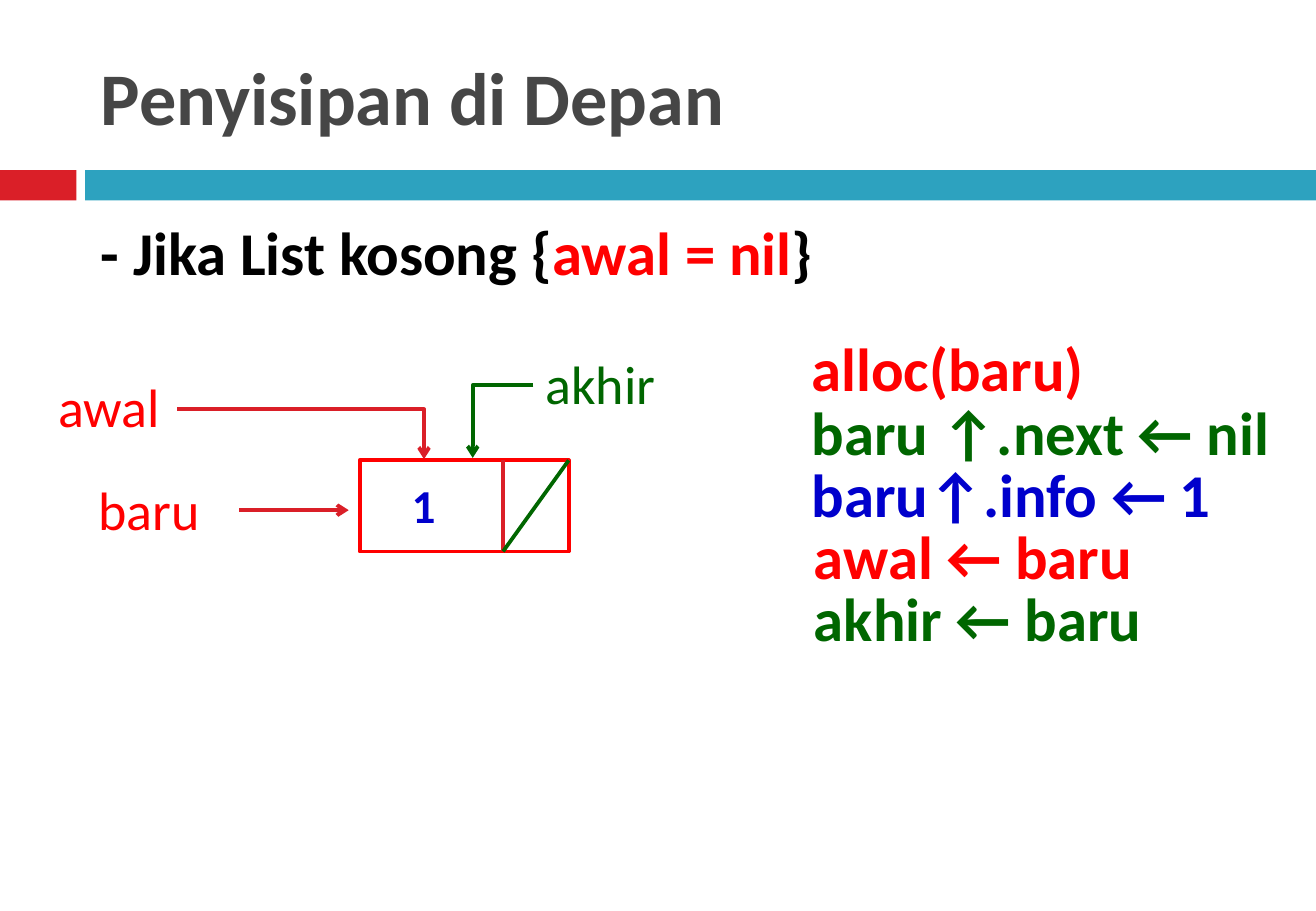
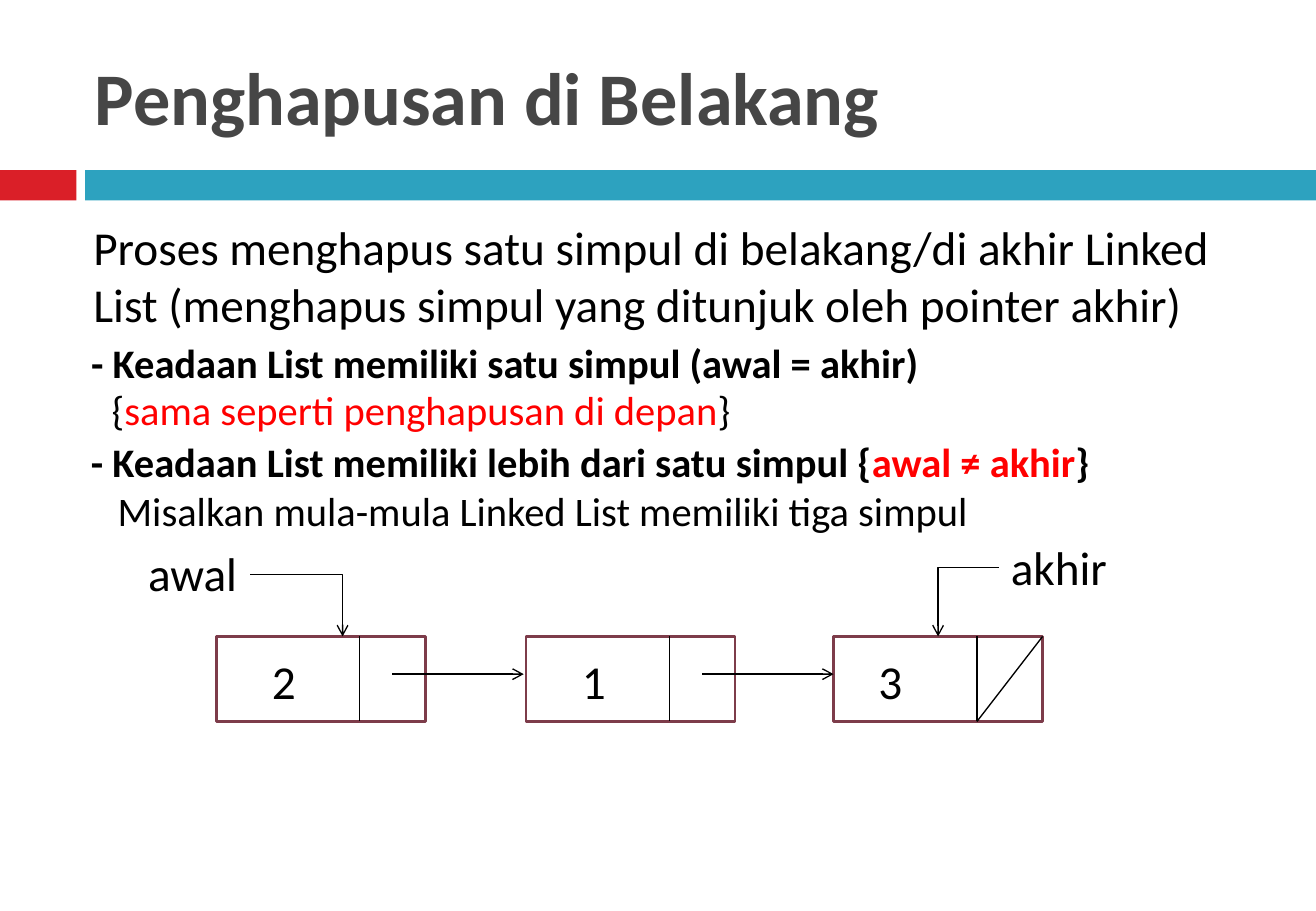
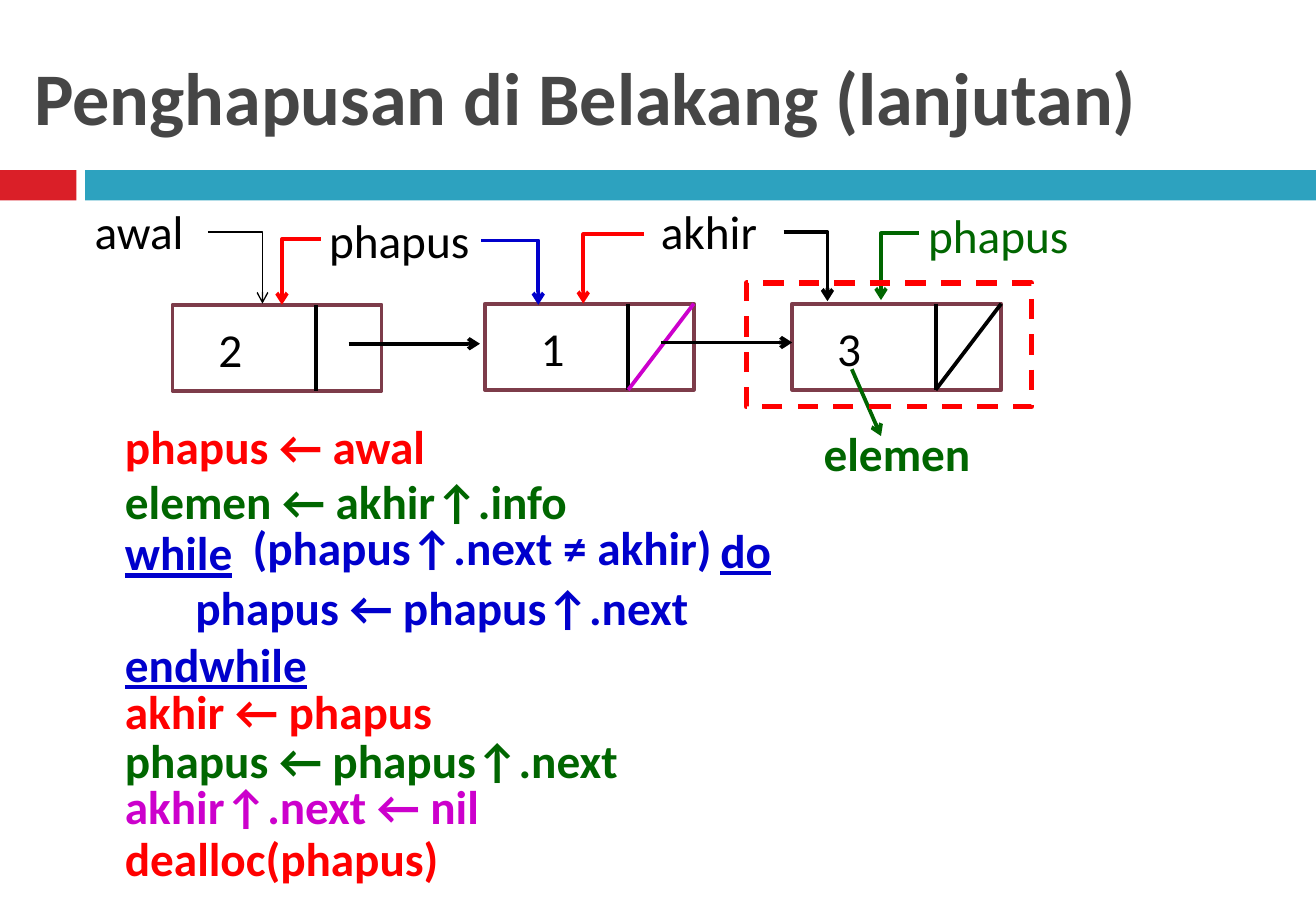
from dataclasses import dataclass
from typing import Optional

from lxml.etree import SubElement
from pptx import Presentation
from pptx.dml.color import RGBColor
from pptx.enum.dml import MSO_LINE
from pptx.enum.shapes import MSO_CONNECTOR, MSO_SHAPE
from pptx.enum.text import MSO_ANCHOR, MSO_AUTO_SIZE, PP_ALIGN
from pptx.oxml.ns import qn
from pptx.presentation import Presentation as Deck
from pptx.slide import Slide
from pptx.text.text import TextFrame
from pptx.util import Inches, Pt

Point = tuple[float, float]
Box = tuple[float, float, float, float]


@dataclass(frozen=True)
class Theme:
    font: str = "Calibri"
    title: RGBColor = RGBColor(0x46, 0x46, 0x46)
    accent: RGBColor = RGBColor(0xDA, 0x1F, 0x28)
    band: RGBColor = RGBColor(0x2D, 0xA2, 0xBF)
    border: RGBColor = RGBColor(0x7D, 0x3C, 0x4A)
    white: RGBColor = RGBColor(0xFF, 0xFF, 0xFF)
    black: RGBColor = RGBColor(0, 0, 0)
    red: RGBColor = RGBColor(0xFF, 0, 0)
    green: RGBColor = RGBColor(0, 0x66, 0)
    blue: RGBColor = RGBColor(0, 0, 0xCC)
    magenta: RGBColor = RGBColor(0xCC, 0, 0xCC)
    title_size: float = 44
    code_size: float = 36
    pointer_size: float = 32
    text_size: float = 28
    note_size: float = 24
    thin: float = 0.79
    medium: float = 1.5
    thick: float = 2.25
    heavy: float = 3


T = Theme()
NODE_W, DIVIDER_X = 1.72, 1.18


@dataclass(frozen=True)
class Label:
    at: Box
    text: str
    color: RGBColor = T.black
    size: float = T.text_size
    bold: bool = False
    underline: bool = False
    marked: str = ""
    after: str = ""


@dataclass(frozen=True)
class Link:
    start: Point
    end: Point
    color: RGBColor = T.black
    width: float = T.thick
    bent: bool = False
    arrow: bool = True


@dataclass(frozen=True)
class Node:
    left: float
    top: float
    height: float
    value: str
    value_dx: float
    border: RGBColor = T.border
    border_width: float = T.thick
    divider: RGBColor = T.black
    line_width: float = T.thick
    slash: Optional[RGBColor] = None
    value_color: RGBColor = T.black
    bold: bool = False


@dataclass(frozen=True)
class Page:
    title: str
    title_left: float
    nodes: list[Node]
    links: list[Link]
    labels: list[Label]
    body: Optional[Label] = None


def place(sp, at: Box) -> None:
    sp.left, sp.top, sp.width, sp.height = map(Inches, at)


def write(tf: TextFrame, label: Label) -> None:
    tf.word_wrap = True
    p = tf.paragraphs[0]
    p.alignment = PP_ALIGN.LEFT
    p.font.name = T.font
    p.font.size = Pt(label.size)
    p.font.bold = label.bold
    p.font.underline = label.underline
    p.font.color.rgb = label.color
    for text, color in ((label.text, None), (label.marked, T.red), (label.after, None)):
        if text:
            r = p.add_run()
            r.text = text
            if color is not None:
                r.font.color.rgb = color


def add_label(s: Slide, label: Label) -> None:
    tf = s.shapes.add_textbox(*map(Inches, label.at)).text_frame
    write(tf, label)
    tf.auto_size = MSO_AUTO_SIZE.SHAPE_TO_FIT_TEXT


def add_rect(s: Slide, at: Box, fill: Optional[RGBColor],
             line: Optional[RGBColor] = None, width: float = T.thick):
    sp = s.shapes.add_shape(MSO_SHAPE.RECTANGLE, *map(Inches, at))
    sp.shadow.inherit = False
    if fill is None:
        sp.fill.background()
    else:
        sp.fill.solid()
        sp.fill.fore_color.rgb = fill
    if line is None:
        sp.line.fill.background()
    else:
        sp.line.color.rgb = line
        sp.line.width = Pt(width)
    return sp


def add_link(s: Slide, link: Link) -> None:
    kind = MSO_CONNECTOR.ELBOW if link.bent else MSO_CONNECTOR.STRAIGHT
    c = s.shapes.add_connector(kind, *map(Inches, link.start + link.end))
    c.line.color.rgb = link.color
    c.line.width = Pt(link.width)
    sp_pr = c.element.spPr
    if link.arrow:
        SubElement(sp_pr.find(qn("a:ln")), qn("a:tailEnd"), type="arrow")
    SubElement(sp_pr, qn("a:effectLst"))
    if link.bent:
        sp_pr.find(qn("a:prstGeom")).set("prst", "bentConnector2")
        if link.end[0] < link.start[0]:
            xfrm = sp_pr.find(qn("a:xfrm"))
            xfrm.attrib.pop("flipH")
            xfrm.set("rot", "10800000")
            xfrm.set("flipV", "1")


def add_node(s: Slide, n: Node) -> None:
    x, right, bottom = n.left + DIVIDER_X, n.left + NODE_W, n.top + n.height
    add_rect(s, (n.left, n.top, NODE_W, n.height), T.white, n.border, n.border_width)
    add_link(s, Link((x, n.top), (x, bottom), n.divider, n.line_width, arrow=False))
    if n.slash is not None:
        add_link(s, Link((right, n.top), (x, bottom), n.slash, n.line_width, arrow=False))
    add_label(s, Label((n.left + n.value_dx, n.top + 0.08, 0.63, 0.57), n.value,
                       n.value_color, bold=n.bold))


def add_bands(prs: Deck, s: Slide) -> None:
    tree = prs.slide_master.element.cSld.spTree
    for i, (at, color) in enumerate((((0, 1.4, 0.63, 0.25), T.accent),
                                     ((0.7, 1.4, 10.13, 0.25), T.band))):
        sp = add_rect(s, at, color)
        sp.element.nvSpPr.cNvPr.set("id", str(101 + i))
        tree.append(sp.element)


def add_page(prs: Deck, page: Page) -> Slide:
    s = prs.slides.add_slide(prs.slide_layouts[1 if page.body else 5])
    title = s.shapes.title
    at = (page.title_left, 0.25, 9.66, 1.08)
    place(title, at)
    write(title.text_frame, Label(at, page.title, T.title, T.title_size, bold=True))
    title.text_frame.vertical_anchor = MSO_ANCHOR.MIDDLE
    title.text_frame.auto_size = MSO_AUTO_SIZE.NONE
    if page.body:
        body = s.placeholders[1]
        place(body, page.body.at)
        write(body.text_frame, page.body)
        body.text_frame.auto_size = MSO_AUTO_SIZE.NONE
        p = body.text_frame.paragraphs[0]
        p.space_before = Pt(7)
        p_pr = p._p.get_or_add_pPr()
        p_pr.set("marL", str(Inches(0.56)))
        p_pr.set("indent", str(-Inches(0.56)))
        p_pr.find(qn("a:defRPr")).addprevious(SubElement(p_pr, qn("a:buNone")))
    for node in page.nodes:
        add_node(s, node)
    for link in page.links:
        add_link(s, link)
    for label in page.labels:
        add_label(s, label)
    return s


def code(left: float, top: float, width: float, text: str, color: RGBColor,
         size: float = T.text_size, underline: bool = False) -> Label:
    return Label((left, top, width, 0.75 if size == T.code_size else 0.57),
                 text, color, size, True, underline)


def pointer(left: float, top: float, text: str, color: RGBColor = T.black,
            size: float = T.text_size, width: float = 1.26) -> Label:
    return Label((left, top, width, 0.57), text, color, size)


insert_front = Page(
    "Penyisipan di Depan", 0.73,
    nodes=[Node(2.96, 3.79, 0.75, "1", 0.33, T.red, divider=T.accent,
                slash=T.green, value_color=T.blue, bold=True)],
    links=[
        Link((1.97, 4.2), (2.87, 4.2), T.accent),
        Link((1.46, 3.37), (3.49, 3.78), T.accent, bent=True),
        Link((4.39, 3.17), (3.89, 3.77), T.green, bent=True),
    ],
    labels=[
        pointer(0.71, 3.87, "baru", T.red, T.pointer_size),
        pointer(0.38, 3.03, "awal", T.red, T.pointer_size),
        pointer(4.39, 2.84, "akhir", T.green, T.pointer_size),
        code(6.58, 2.67, 4.58, "alloc(baru)", T.red, T.code_size),
        code(6.58, 3.2, 4.58, "baru ↑.next ← nil", T.green, T.code_size),
        code(6.58, 3.71, 4.58, "baru↑.info ← 1", T.blue, T.code_size),
        code(6.6, 4.22, 3.42, "awal ← baru", T.red, T.code_size),
        code(6.6, 4.73, 3.42, "akhir ← baru", T.green, T.code_size),
    ],
    body=Label((0.73, 1.72, 9.66, 0.83), "- Jika List kosong {", size=T.code_size,
               bold=True, marked="awal = nil", after="}"),
)

delete_back = Page(
    "Penghapusan di Belakang", 0.68,
    nodes=[Node(left, 5.24, 0.7, value, dx, border_width=T.medium,
                line_width=T.thin, slash=slash)
           for left, value, dx, slash in ((1.78, "2", 0.36, None),
                                          (4.33, "1", 0.36, None),
                                          (6.86, "3", 0.27, T.black))],
    links=[
        Link((3.23, 5.55), (4.31, 5.55), width=T.thin),
        Link((5.78, 5.55), (6.86, 5.55), width=T.thin),
        Link((8.22, 4.67), (7.72, 5.24), width=T.thin, bent=True),
        Link((2.06, 4.73), (2.82, 5.24), width=T.thin, bent=True),
    ],
    labels=[
        pointer(1.12, 4.43, "awal"),
        pointer(8.22, 4.38, "akhir"),
        Label((0.67, 1.75, 9.72, 1.3),
              "Proses menghapus satu simpul di belakang/di akhir Linked List "
              "(menghapus simpul yang ditunjuk oleh pointer akhir)"),
        Label((0.82, 3.12, 9.51, 0.63), "{", size=T.note_size,
              marked="sama seperti penghapusan di depan", after="}"),
        Label((0.65, 3.55, 9.66, 0.63),
              "- Keadaan List memiliki lebih dari satu simpul {", size=T.note_size,
              bold=True, marked="awal ≠ akhir", after="}"),
        Label((0.87, 3.95, 9.66, 0.67),
              "Misalkan mula-mula Linked List memiliki tiga simpul", size=T.note_size),
    ],
    body=Label((0.65, 2.73, 9.66, 0.56),
               "- Keadaan List memiliki satu simpul (awal = akhir)",
               size=T.note_size, bold=True),
)

delete_back_steps = Page(
    "Penghapusan di Belakang (lanjutan)", 0.18,
    nodes=[
        Node(1.42, 2.51, 0.71, "2", 0.28),
        Node(3.99, 2.5, 0.71, "1", 0.36, slash=T.magenta),
        Node(6.52, 2.5, 0.71, "3", 0.27, slash=T.black),
    ],
    links=[
        Link((2.87, 2.83), (3.95, 2.83)),
        Link((5.44, 2.82), (6.52, 2.82)),
        Link((7.01, 3.04), (7.25, 3.59), T.green),
        Link((1.71, 1.91), (2.16, 2.5), width=T.thin, bent=True),
        Link((2.64, 1.97), (2.32, 2.51), T.red, bent=True),
        Link((3.96, 1.98), (4.43, 2.51), T.blue, bent=True),
        Link((5.3, 1.93), (4.8, 2.5), T.red, bent=True),
        Link((6.45, 1.91), (6.81, 2.48), bent=True),
        Link((7.56, 1.92), (7.25, 2.47), T.green, bent=True),
    ],
    labels=[
        pointer(0.68, 1.62, "awal", width=1.03),
        pointer(2.61, 1.69, "phapus", width=1.51),
        pointer(5.34, 1.62, "akhir"),
        pointer(7.54, 1.65, "phapus", T.green, width=1.51),
        code(6.68, 3.44, 1.62, "elemen", T.green),
        code(0.93, 3.39, 2.81, "phapus ← awal", T.red),
        code(0.93, 3.84, 3.85, "elemen ← akhir↑.info", T.green),
        code(0.93, 4.26, 1.1, "while", T.blue, underline=True),
        code(1.98, 4.22, 3.99, "(phapus↑.next ≠ akhir)", T.blue),
        code(5.83, 4.24, 0.66, "do", T.blue, underline=True),
        code(1.51, 4.71, 4.3, "phapus ← phapus↑.next", T.blue),
        code(0.93, 5.18, 5.49, "endwhile", T.blue, underline=True),
        code(0.93, 5.57, 3.13, "akhir ← phapus", T.red),
        code(0.93, 5.97, 4.3, "phapus ← phapus↑.next", T.green),
        code(0.93, 6.35, 3.52, "akhir↑.next ← nil", T.magenta),
        code(0.93, 6.78, 3.2, "dealloc(phapus)", T.red),
    ],
)

prs = Presentation()
prs.slide_width, prs.slide_height = Inches(10.83), Inches(7.5)
slides = [add_page(prs, page) for page in (insert_front, delete_back, delete_back_steps)]
add_bands(prs, slides[0])
removed_node = add_rect(slides[2], (6.14, 2.33, 2.35, 1.02), None, T.red, T.heavy)
removed_node.line.dash_style = MSO_LINE.DASH
prs.save("out.pptx")
